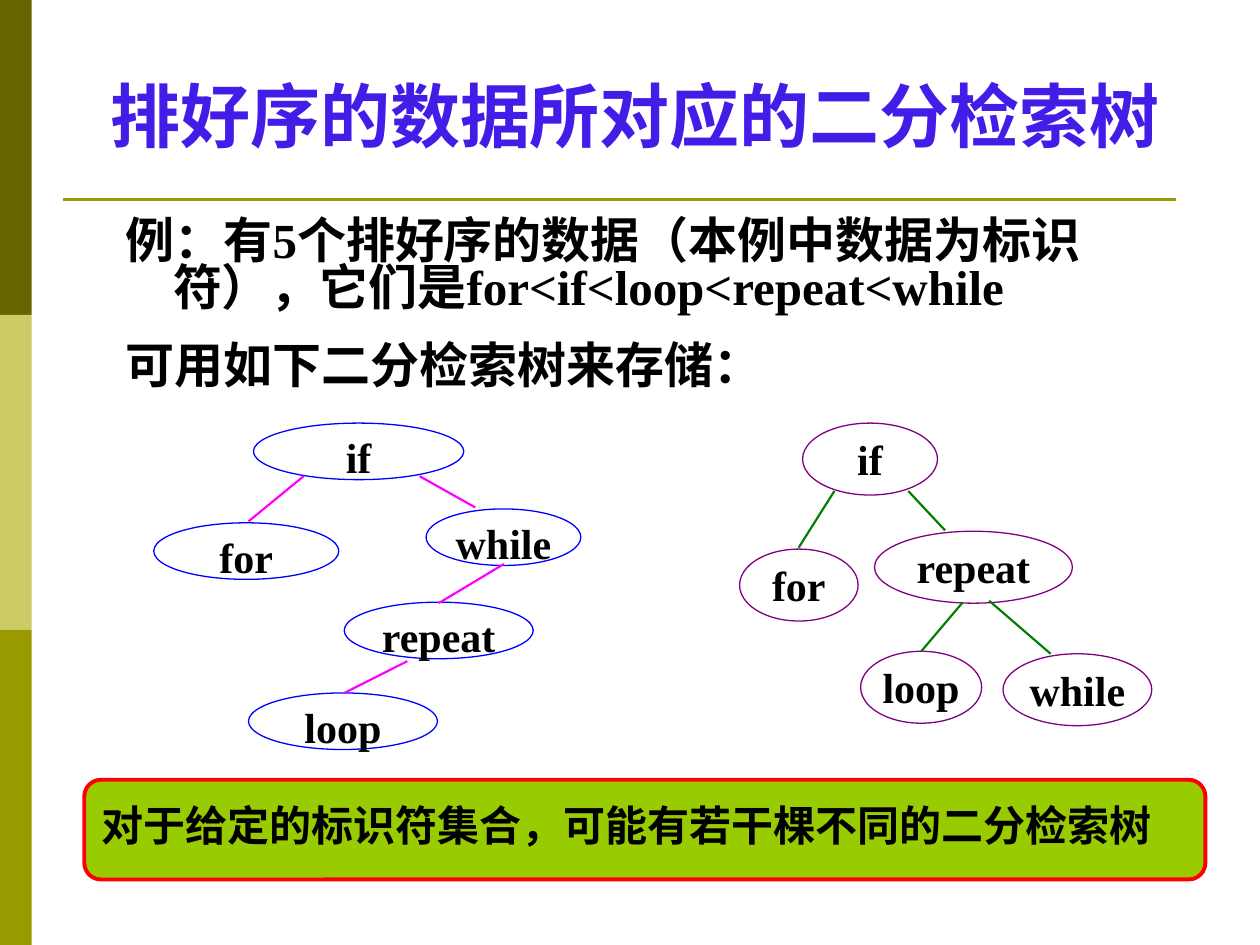
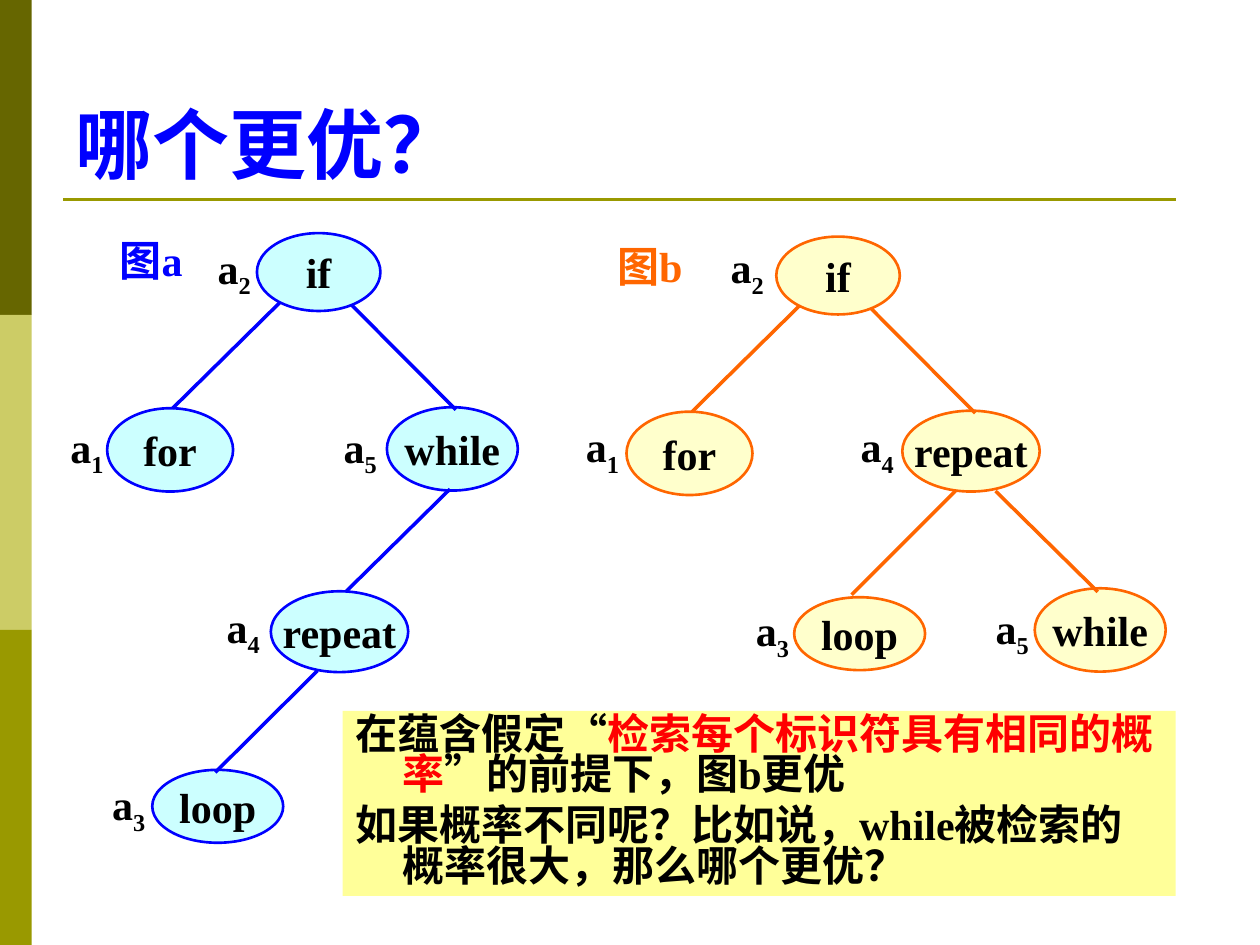
from dataclasses import dataclass, field
from typing import Optional

from lxml import etree
from pptx import Presentation
from pptx.dml.color import RGBColor
from pptx.enum import shapes, text
from pptx.oxml import ns
from pptx.util import Cm, Pt


@dataclass(frozen=True)
class Theme:
    """Colours, font and type sizes of both slides."""
    font: str = "Times New Roman"
    bands: tuple = ("666600", "CCCC66", "999900")
    rule: str = "999900"
    ink: str = "000000"
    violet: str = "431CE8"
    blue: str = "0000FF"
    orange: str = "FF6600"
    red: str = "FF0000"
    banner: str = "99CC00"
    note: str = "FFFF99"
    long_title: int = 40
    short_title: int = 44
    body: int = 28
    small: int = 24


@dataclass(frozen=True)
class TreeStyle:
    """Look of the nodes and branches of one tree."""
    outline: str
    branch: str
    outline_width: float
    branch_width: float
    fill: Optional[str] = None
    roomy: bool = False


@dataclass(frozen=True)
class Format:
    """Layout of the paragraphs in one text frame."""
    align: Optional[int] = None
    anchor: int = text.MSO_ANCHOR.TOP
    margins: tuple = (0.25, 0.13)
    wrap: bool = True
    spacing: Optional[float] = None
    before: float = 0
    hanging: float = 0


@dataclass(frozen=True)
class Run:
    """A piece of text with one look."""
    words: str
    size: int
    color: str = "000000"
    baseline: int = 0


@dataclass(frozen=True)
class Tree:
    """Nodes as (word, x, y, width, height) and branches as (x1, y1, x2, y2)."""
    nodes: list
    branches: list
    labels: dict = field(default_factory=dict)


THEME = Theme()
CENTER = text.PP_ALIGN.CENTER
MIDDLE = text.MSO_ANCHOR.MIDDLE
BOTTOM = text.MSO_ANCHOR.BOTTOM
IDENTIFIERS = ["for", "if", "loop", "repeat", "while"]
NODE_SIZES = {"for": (2.54, 1.68), "if": (2.49, 1.57), "loop": (2.64, 1.47),
              "repeat": (2.77, 1.63), "while": (2.64, 1.68)}

BLUE_OUTLINE = TreeStyle(THEME.blue, "FF00FF", 0.75, 1.25)
PURPLE_OUTLINE = TreeStyle("800080", "008000", 0.75, 1.25)
BLUE_FILLED = TreeStyle(THEME.blue, THEME.blue, 1.5, 2, "CCFFFF", True)
ORANGE_FILLED = TreeStyle(THEME.orange, THEME.orange, 1.5, 2, "FFFFCC", True)


def sized(places):
    """Add the usual node size to each (word, x, y)."""
    return [(word, x, y, *NODE_SIZES[word]) for word, x, y in places]


CHAIN_TREE = Tree(
    [("if", 2.01, 0, 4.24, 1.14), ("for", 0, 2.01, 3.73, 1.14),
     ("while", 5.49, 1.73, 3.12, 1.14), ("repeat", 3.84, 3.61, 3.81, 1.14),
     ("loop", 1.91, 5.44, 3.81, 1.14)],
    [(3.02, 1.07, 1.91, 1.98), (5.36, 1.07, 6.48, 1.7),
     (7.06, 2.84, 5.74, 3.63), (5.11, 4.8, 3.84, 5.44)])
BALANCED_TREE = Tree(
    [("if", 1.27, 0, 2.72, 1.45), ("for", 0, 2.54, 2.39, 1.45),
     ("repeat", 2.72, 2.18, 3.99, 1.45), ("loop", 2.44, 4.6, 2.44, 1.45),
     ("while", 5.31, 4.65, 3, 1.45)],
    [(1.91, 1.37, 1.19, 2.51), (3.4, 1.37, 4.14, 2.16),
     (4.5, 3.61, 3.66, 4.6), (5.03, 3.58, 6.27, 4.65)])

TOP_NODES = [("if", 3.86, 0.1), ("for", 0.84, 3.63)]
TOP_BRANCHES = [(4.32, 1.5, 2.16, 3.63), (5.77, 1.55, 7.87, 3.66)]
TREE_A = Tree(
    sized(TOP_NODES + [("while", 6.48, 3.61), ("repeat", 4.14, 7.32),
                       ("loop", 1.75, 10.92)]),
    TOP_BRANCHES + [(7.75, 5.26, 5.66, 7.32), (5.08, 8.92, 3.02, 10.97)],
    {"for": (0, 3.99), "if": (2.97, 0.38), "loop": (0.84, 11.2),
     "repeat": (3.15, 7.62), "while": (5.51, 3.99)})
TREE_B = Tree(
    sized(TOP_NODES + [("repeat", 6.4, 3.61), ("loop", 4.22, 7.37),
                       ("while", 9.07, 7.19)]),
    TOP_BRANCHES + [(7.47, 5.23, 5.38, 7.32), (8.28, 5.23, 10.34, 7.26)],
    {"for": (-0.08, 3.91), "if": (2.84, 0.3), "loop": (3.35, 7.62),
     "repeat": (5.46, 3.91), "while": (8.18, 7.57)})


def color_of(value):
    """Turn a hex value into a colour."""
    return RGBColor.from_string(value)


def write(shape, paragraphs, layout):
    """Fill a shape with paragraphs, run by run."""
    frame = shape.text_frame
    frame.word_wrap = layout.wrap
    frame.vertical_anchor = layout.anchor
    frame.margin_left = frame.margin_right = Cm(layout.margins[0])
    frame.margin_top = frame.margin_bottom = Cm(layout.margins[1])
    for index, runs in enumerate(paragraphs):
        paragraph = frame.add_paragraph() if index else frame.paragraphs[0]
        paragraph.alignment = layout.align or text.PP_ALIGN.LEFT
        paragraph.line_spacing = layout.spacing
        paragraph.space_before = Pt(layout.before)
        if layout.hanging:
            properties = paragraph._p.get_or_add_pPr()
            properties.set("marL", str(Cm(layout.hanging)))
            properties.set("indent", str(-Cm(layout.hanging)))
        for item in runs:
            run = paragraph.add_run()
            run.text = item.words
            run.font.name = THEME.font
            run.font.size = Pt(item.size)
            run.font.bold = True
            run.font.color.rgb = color_of(item.color)
            if item.baseline:
                run._r.get_or_add_rPr().set("baseline", str(item.baseline * 1000))


def add_text(slide, box, paragraphs, layout):
    """Add a text box."""
    shape = slide.shapes.add_textbox(*map(Cm, box))
    write(shape, paragraphs, layout)
    return shape


def add_panel(slide, kind, box, fill=None, outline=None, width=0):
    """Add a preset shape without shadow."""
    shape = slide.shapes.add_shape(kind, *map(Cm, box))
    shape.shadow.inherit = False
    if fill:
        shape.fill.solid()
        shape.fill.fore_color.rgb = color_of(fill)
    else:
        shape.fill.background()
    if outline:
        shape.line.color.rgb = color_of(outline)
        shape.line.width = Pt(width)
    else:
        shape.line.fill.background()
    return shape


def add_line(slide, ends, color, width):
    """Add a straight line without shadow."""
    line = slide.shapes.add_connector(shapes.MSO_CONNECTOR.STRAIGHT, *map(Cm, ends))
    line.line.color.rgb = color_of(color)
    line.line.width = Pt(width)
    etree.SubElement(line._element.spPr, ns.qn("a:effectLst"))


def add_frame(presentation):
    """Add a blank slide with the side bands and the title rule."""
    slide = presentation.slides.add_slide(presentation.slide_layouts[6])
    for index, color in enumerate(THEME.bands):
        box = (0, index * 6.35, 0.64, 6.35)
        add_panel(slide, shapes.MSO_SHAPE.RECTANGLE, box, color)
    add_line(slide, (1.27, 4.02, 23.7, 4.02), THEME.rule, 1.5)
    return slide


def add_title(slide, box, title, layout):
    """Add a title that stands on the bottom of its box."""
    add_text(slide, box, [[title]], layout)


def draw_tree(slide, origin, tree, style):
    """Draw a tree with its nodes, branches and labels from an origin."""
    left, top = origin
    if style.roomy:
        layout = Format(align=CENTER, anchor=MIDDLE, wrap=False)
    else:
        layout = Format(align=CENTER, margins=(0, 0))
    for word, x, y, width, height in tree.nodes:
        node = add_panel(slide, shapes.MSO_SHAPE.OVAL,
                         (left + x, top + y, width, height),
                         style.fill, style.outline, style.outline_width)
        write(node, [[Run(word, THEME.small)]], layout)
    for x1, y1, x2, y2 in tree.branches:
        add_line(slide, (left + x1, top + y1, left + x2, top + y2),
                 style.branch, style.branch_width)
    label_layout = Format(margins=(0.1, 0.1), spacing=0.7, before=15)
    for word, (x, y) in tree.labels.items():
        rank = str(IDENTIFIERS.index(word) + 1)
        runs = [Run("a", THEME.small), Run(rank, THEME.small, baseline=-25)]
        add_text(slide, (left + x, top + y, 1.09, 1.02), [runs], label_layout)


def add_caption(slide, box, words, color):
    """Name a tree in its own colour."""
    caption = add_text(slide, box, [[Run(words, THEME.small, color)]], Format(wrap=False))
    caption.text_frame.auto_size = text.MSO_AUTO_SIZE.SHAPE_TO_FIT_TEXT


def add_banner(slide, box):
    """Add the rounded conclusion banner."""
    banner = add_panel(slide, shapes.MSO_SHAPE.ROUNDED_RECTANGLE, box,
                       THEME.banner, THEME.red, 2.25)
    conclusion = Run("对于给定的标识符集合，可能有若干棵不同的二分检索树", THEME.small)
    write(banner, [[conclusion]],
          Format(anchor=MIDDLE, spacing=0.8, before=6, hanging=0.95))


def add_note(slide, box):
    """Add the yellow note that compares the two trees."""
    note = add_panel(slide, shapes.MSO_SHAPE.RECTANGLE, box, THEME.note)
    size = THEME.small
    write(note, [
        [Run("在蕴含假定“", size),
         Run("检索每个标识符具有相同的概率", size, THEME.red),
         Run("”的前提下，图b更优", size)],
        [Run("如果概率不同呢？比如说，while被检索的概率很大，那么哪个更优？", size)],
    ], Format(spacing=0.8, before=6, hanging=0.95))


def build_example_slide(presentation):
    """Build the slide with two search trees for sorted data."""
    slide = add_frame(presentation)
    add_title(slide, (1.9, 1.52, 21.8, 1.68),
              Run("排好序的数据所对应的二分检索树", THEME.long_title, THEME.violet),
              Format(align=CENTER, anchor=BOTTOM, spacing=0.6))
    example = "例：有5个排好序的数据（本例中数据为标识符），它们是for<if<loop<repeat<while"
    add_text(slide, (2.29, 4.32, 19.81, 3.73),
             [[Run(example, THEME.body)],
              [Run("可用如下二分检索树来存储：", THEME.body)]],
             Format(spacing=0.8, before=17.5, hanging=0.95))
    draw_tree(slide, (3.1, 8.53), CHAIN_TREE, BLUE_OUTLINE)
    draw_tree(slide, (14.91, 8.53), BALANCED_TREE, PURPLE_OUTLINE)
    add_banner(slide, (1.7, 15.72, 22.6, 2.01))


def build_comparison_slide(presentation):
    """Build the slide that asks which tree is better."""
    slide = add_frame(presentation)
    add_title(slide, (1.27, 0.76, 22.86, 3.18),
              Run("哪个更优？", THEME.short_title, THEME.blue), Format(anchor=BOTTOM))
    draw_tree(slide, (1.32, 4.6), TREE_A, BLUE_FILLED)
    add_caption(slide, (2.16, 4.6, 1.98, 1.27), "图a", THEME.blue)
    draw_tree(slide, (11.79, 4.67), TREE_B, ORANGE_FILLED)
    add_caption(slide, (12.19, 4.72, 2.03, 1.27), "图b", THEME.orange)
    add_note(slide, (6.91, 14.33, 16.79, 3.73))


def main():
    """Build both slides and save them."""
    presentation = Presentation()
    presentation.slide_width, presentation.slide_height = Cm(25.4), Cm(19.05)
    build_example_slide(presentation)
    build_comparison_slide(presentation)
    presentation.save("out.pptx")


if __name__ == "__main__":
    main()
